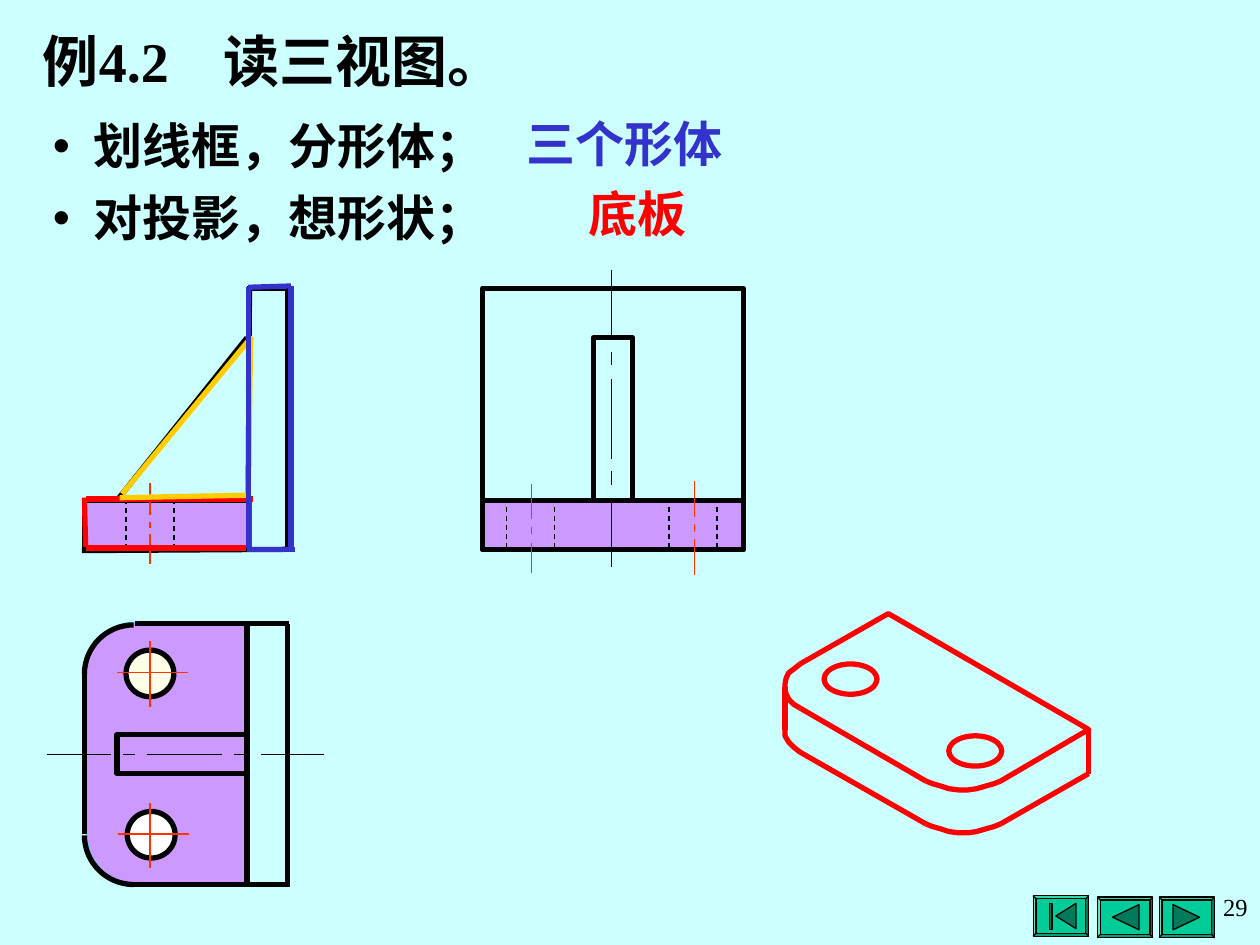
import math
from lxml import etree
from pptx import Presentation
from pptx import util as u
from pptx.dml.color import RGBColor
from pptx.enum import dml, shapes, text
from pptx.oxml import ns

SKY = RGBColor(0xCC, 0xFF, 0xFF)
BLACK = RGBColor(0, 0, 0)
WHITE = RGBColor(0xFF, 0xFF, 0xFF)
CREAM = RGBColor(0xFF, 0xFF, 0xE7)
LILAC = RGBColor(0xCC, 0x99, 0xFF)
CYAN = RGBColor(0, 0xFF, 0xFF)
RED = RGBColor(0xFF, 0, 0)
CORAL = RGBColor(0xFF, 0x33, 0)
GOLD = RGBColor(0xFF, 0xCC, 0)
BLUE = RGBColor(0x33, 0x33, 0xCC)
GREEN = RGBColor(0, 0xCC, 0x99)
TEAL = RGBColor(0, 0x7A, 0x5C)
SANS, SERIF = "Noto Sans CJK SC", "Times New Roman"
HAIR = 0.25
KIND = shapes.MSO_SHAPE
RECT, OVAL = KIND.RECTANGLE, KIND.OVAL
LEFT, MID, RIGHT = text.PP_ALIGN.LEFT, text.PP_ALIGN.CENTER, text.PP_ALIGN.RIGHT


class Pen:
    def __init__(self, tree, x, y):
        self.tree, self.x, self.y = tree, x, y

    def at(self, x, y):
        return u.Inches(self.x + x), u.Inches(self.y + y)

    def ink(self, part, color, width, fill=None):
        part.shadow.inherit = False
        part.line.color.rgb = color
        part.line.width = u.Pt(width)
        if fill is None:
            part.fill.background()
        else:
            part.fill.solid()
            part.fill.fore_color.rgb = fill
        return part

    def line(self, a, b, c, d, color=BLACK, width=3, dash=False):
        part = self.tree.add_connector(
            shapes.MSO_CONNECTOR.STRAIGHT, *self.at(a, b), *self.at(c, d))
        part.line.color.rgb = color
        part.line.width = u.Pt(width)
        if dash:
            part.line.dash_style = dml.MSO_LINE.DASH
        etree.SubElement(part._element.spPr, ns.qn("a:effectLst"))

    def form(self, kind, x, y, w, h, color=BLACK, width=3, fill=None):
        part = self.tree.add_shape(kind, *self.at(x, y), u.Inches(w), u.Inches(h))
        return self.ink(part, color, width, fill)

    def trace(self, dots, color=BLACK, width=3, fill=None):
        first, *rest = [self.at(*dot) for dot in dots]
        path = self.tree.build_freeform(*first)
        path.add_line_segments(rest, close=fill is not None)
        self.ink(path.convert_to_shape(), color, width, fill)

    def hidden(self, top, end, *places):
        for x in places:
            self.line(x, end, x, top, BLACK, 0.75, True)

    def axis(self, x, spans, color=CORAL, width=0.75):
        for top, end in spans:
            self.line(x, top, x, end, color, width)


def bend(x, y, size, start):
    steps = [math.radians(start + 90 * i / 16) for i in range(17)]
    return [(x + size * math.cos(t), y + size * math.sin(t)) for t in steps]


def write(para, words, color, **vals):
    run = para.add_run()
    run.text = words
    for key, val in {"size": u.Pt(28), "bold": True, "name": SANS, **vals}.items():
        setattr(run.font, key, val)
    run.font.color.rgb = color
    etree.SubElement(run._r.get_or_add_rPr(), ns.qn("a:ea"), typeface=SANS)


def place(part, x, y, w, h):
    box = zip(("left", "top", "width", "height"), (x, y, w, h))
    for key, val in box:
        setattr(part, key, u.Inches(val))
    frame = part.text_frame
    frame.auto_size = text.MSO_AUTO_SIZE.NONE
    frame.word_wrap = True
    return frame


def title(part, *box):
    frame = place(part, *box)
    frame.vertical_anchor = text.MSO_ANCHOR.MIDDLE
    para = frame.paragraphs[0]
    para.alignment = LEFT
    tabs = etree.SubElement(para._p.get_or_add_pPr(), ns.qn("a:tabLst"))
    etree.SubElement(tabs, ns.qn("a:tab"), pos=str(u.Inches(1.43)), algn="l")
    write(para, "例4.2\t读三视图。", BLACK, size=u.Pt(32), name=SERIF)


def steps(part, *box):
    frame = place(part, *box)
    for i, words in enumerate(("划线框，分形体；", "对投影，想形状；")):
        para = frame.add_paragraph() if i else frame.paragraphs[0]
        props = para._p.get_or_add_pPr()
        props.set("marL", str(u.Inches(0.32)))
        props.set("indent", str(-u.Inches(0.32)))
        para.space_before = u.Pt(7.5 * i)
        write(para, words, BLACK)


def label(tree, box, words, color, align=LEFT, **vals):
    part = tree.add_textbox(0, 0, 0, 0)
    para = place(part, *box).paragraphs[0]
    para.alignment = align
    write(para, words, color, **vals)


def front(tree, x, y):
    pen = Pen(tree, x, y)
    pen.form(RECT, 0.02, 1.72, 1.28, 0.35, CYAN, 0.75, LILAC)
    edges = {
        BLACK: [(1.29, 0.02, 1.61, 0.02), (0, 2.09, 0, 1.71), (0, 1.7, 1.29, 1.7),
                (0.26, 1.7, 1.29, 0.41), (1.31, 0.03, 1.3, 1.68),
                (1.61, 0.01, 1.61, 2.08), (-0.02, 2.1, 1.62, 2.09)],
        RED: [(1.34, 1.69, 0.01, 1.69), (0, 1.68, 0.01, 2.07),
              (0.01, 2.08, 1.28, 2.08), (1.31, 1.71, 1.31, 2.07)],
        GOLD: [(1.33, 0.4, 0.3, 1.65), (1.32, 0.41, 1.3, 1.64), (0.28, 1.68, 1.32, 1.66)],
        BLUE: [(1.3, 0.01, 1.3, 2.08), (1.3, 0.01, 1.64, 0),
               (1.64, 0, 1.64, 2.07), (1.29, 2.09, 1.67, 2.09)],
    }
    for color, ends in edges.items():
        for end in ends:
            pen.line(*end, color)
        if color == BLACK:
            pen.hidden(1.7, 2.09, 0.33, 0.71)
            pen.axis(0.52, [(1.56, 1.82), (1.87, 1.92), (1.97, 2.21)])


def side(tree, x, y):
    pen = Pen(tree, x, y)
    pen.form(RECT, 0.02, 1.84, 2.05, 0.37, CYAN, 0.75, LILAC)
    for box in ((0, 0.15, 2.07, 2.07), (0.88, 0.54, 0.31, 1.29), (0, 1.83, 2.07, 0.39)):
        pen.form(RECT, *box)
    pen.axis(0.39, [(1.7, 1.98), (2.04, 2.1), (2.17, 2.41)])
    pen.axis(1.68, [(1.68, 1.96), (2.02, 2.08), (2.14, 2.42)])
    pen.hidden(1.82, 2.21, 0.19, 0.57, 1.48, 1.86)
    pen.axis(1.02, [(0, 0.54), (0.65, 0.76), (0.87, 1.5), (1.6, 1.71), (1.81, 2.36)],
             BLACK, HAIR)


def plan(tree, x, y):
    pen = Pen(tree, x, y)
    plate = [(1.29, 2.06), *bend(0.4, 1.68, 0.38, 90), *bend(0.4, 0.37, 0.38, 180),
             (1.29, -0.01)]
    pen.trace(plate, CYAN, 0.75, LILAC)
    pen.trace([(0.38, 2.07), (1.29, 2.07), (1.29, 0), (0.4, 0)])
    pen.trace(bend(0.39, 0.4, 0.39, 180))
    pen.trace(bend(0.39, 1.68, 0.39, 90))
    pen.line(0, 1.67, 0, 0.38)
    pen.form(RECT, 0.26, 0.88, 1.03, 0.31)
    for left, top, fill in ((0.33, 0.21, CREAM), (0.34, 1.49, WHITE)):
        pen.form(OVAL, left, top, 0.38, 0.37, fill=fill)
        pen.line(left - 0.07, top + 0.18, left + 0.49, top + 0.18, CORAL, 0.75)
        pen.line(0.52, top - 0.07, 0.52, top + 0.45, CORAL, 0.75)
    for end in ((1.26, 0, 1.62, 0), (1.29, 2.07, 1.63, 2.07), (1.61, 2.05, 1.61, 0)):
        pen.line(*end)
    for a, b in ((1.9, 1.4), (1.29, 1.19), (1.09, 0.5), (0.4, 0.31), (0.21, -0.3)):
        pen.line(a, 1.04, b, 1.04, BLACK, HAIR)


def solid(tree, x, y):
    pen = Pen(tree, x, y)
    pen.trace([(0.12, 0.4), (0.82, 0), (2.41, 0.92), (1.71, 1.33)], RED)
    pen.trace([(0.12, 0.4), (0.07, 0.44), (0.03, 0.47), (0.01, 0.51), (0, 0.56),
               (0, 0.6), (0.01, 0.64), (0.03, 0.68), (0.07, 0.72), (0.12, 0.75)], RED)
    pen.trace([(0, 0.92), (0, 0.97), (0.03, 1.02), (0.07, 1.06), (0.12, 1.1)], RED)
    for end in ((2.41, 0.92, 2.41, 1.27), (2.41, 1.27, 1.71, 1.67), (0, 0.58, 0, 0.92)):
        pen.line(*end, RED)
    curve = [(1.12, 0), (1.17, 0.02), (1.24, 0.04), (1.3, 0.06), (1.38, 0.07),
             (1.45, 0.07), (1.52, 0.06), (1.59, 0.04), (1.66, 0.02), (1.71, 0)]
    for start, top in ((0.75, 1.33), (1.1, 1.67)):
        pen.line(0.12, start, 1.12, top, RED)
        pen.trace([(a, top + b) for a, b in curve], RED)
    for left, top in ((0.31, 0.4), (1.3, 0.97)):
        pen.form(OVAL, left, top, 0.42, 0.24, RED)


def button(tree, x, y, tip, base, bar=False):
    pen = Pen(tree, x, y)
    part = pen.form(KIND.BEVEL, 0, 0, 0.44, 0.32, width=0.75, fill=GREEN)
    part.adjustments[0] = 0.07
    pen.trace([(tip, 0.16), (base, 0.06), (base, 0.26)], BLACK, 0.75, TEAL)
    if bar:
        pen.form(RECT, 0.13, 0.06, 0.02, 0.21, width=0.75, fill=TEAL)


def main():
    deck = Presentation()
    deck.slide_width, deck.slide_height = u.Inches(10), u.Inches(7.5)
    slide = deck.slides.add_slide(deck.slide_layouts[1])
    slide.background.fill.solid()
    slide.background.fill.fore_color.rgb = SKY
    tree = slide.shapes
    title(tree.title, 0.24, 0.16, 8.4, 0.64)
    steps(slide.placeholders[1], 0.32, 0.87, 3.82, 1.14)
    label(tree, (4.08, 0.85, 2.76, 0.57), "三个形体", BLUE)
    label(tree, (4.41, 1.41, 1.3, 0.57), "底板", RED, MID, name=SERIF)
    front(tree, 0.67, 2.27)
    side(tree, 3.83, 2.14)
    plan(tree, 0.67, 4.95)
    solid(tree, 6.23, 4.87)
    button(tree, 8.2, 7.11, 0.18, 0.34, True)
    button(tree, 8.71, 7.12, 0.12, 0.33)
    button(tree, 9.2, 7.12, 0.32, 0.11)
    label(tree, (7.48, 7.03, 2.52, 0.47), "29", BLACK, RIGHT,
          size=u.Pt(14), bold=False, name=SERIF)
    deck.save("out.pptx")


if __name__ == "__main__":
    main()
